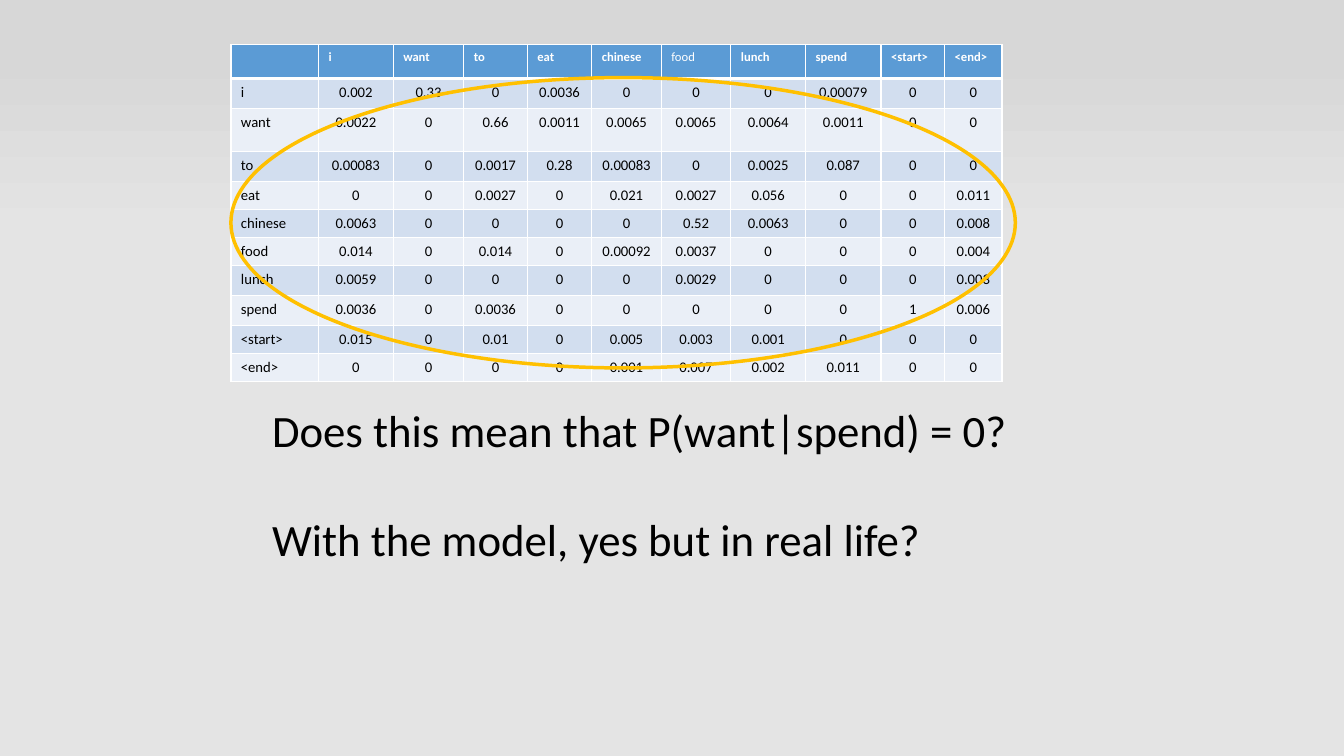
"""Build a slide with a bigram probability table, a highlight ellipse and two questions."""
from dataclasses import dataclass

import lxml.etree
import pptx
import pptx.dml.color
import pptx.enum.shapes
import pptx.enum.text
import pptx.oxml.ns
import pptx.util

Inches = pptx.util.Inches
Pt = pptx.util.Pt

FONT = "Calibri"
WORDS = ["i", "want", "to", "eat", "chinese", "food", "lunch", "spend", "<start>", "<end>"]
PROBABILITIES = """
0.002 0.33 0 0.0036 0 0 0 0.00079 0 0
0.0022 0 0.66 0.0011 0.0065 0.0065 0.0064 0.0011 0 0
0.00083 0 0.0017 0.28 0.00083 0 0.0025 0.087 0 0
0 0 0.0027 0 0.021 0.0027 0.056 0 0 0.011
0.0063 0 0 0 0 0.52 0.0063 0 0 0.008
0.014 0 0.014 0 0.00092 0.0037 0 0 0 0.004
0.0059 0 0 0 0 0.0029 0 0 0 0.003
0.0036 0 0.0036 0 0 0 0 0 1 0.006
0.015 0 0.01 0 0.005 0.003 0.001 0 0 0
0 0 0 0 0.001 0.007 0.002 0.011 0 0
"""
COL_WIDTHS = [0.87, 0.74, 0.7, 0.63, 0.64, 0.69, 0.69, 0.74, 0.75, 0.63, 0.57]
ROW_HEIGHTS = [0.34, 0.3, 0.42, 0.3, 0.26, 0.26, 0.26, 0.3, 0.3, 0.26, 0.26]
QUESTIONS = ["Does this mean that P(want|spend) = 0?", "With the model, yes but in real life?"]


@dataclass(frozen=True)
class CellStyle:
    fill: str
    color: str = "000000"
    size: float = 10.5
    bold: bool = False
    centred: bool = False
    top: float = 1
    bottom: float = 1


def rgb(value: str) -> pptx.dml.color.RGBColor:
    return pptx.dml.color.RGBColor.from_string(value)


def set_font(p, size: float, color: str, bold: bool = False) -> None:
    p.font.name = FONT
    p.font.size = Pt(size)
    p.font.bold = bold
    p.font.color.rgb = rgb(color)


def set_borders(cell, top: float, bottom: float) -> None:
    qn = pptx.oxml.ns.qn
    tc_pr = cell._tc.get_or_add_tcPr()
    widths = {"a:lnL": 1, "a:lnR": 1, "a:lnT": top, "a:lnB": bottom}
    for i, (tag, width) in enumerate(widths.items()):
        ln = tc_pr.makeelement(qn(tag), {"w": str(Pt(width))})
        fill = lxml.etree.SubElement(ln, qn("a:solidFill"))
        lxml.etree.SubElement(fill, qn("a:srgbClr"), {"val": "FFFFFF"})
        tc_pr.insert(i, ln)


def fill_cell(cell, text: str, style: CellStyle) -> None:
    cell.fill.solid()
    cell.fill.fore_color.rgb = rgb(style.fill)
    set_borders(cell, style.top, style.bottom)
    p = cell.text_frame.paragraphs[0]
    set_font(p, style.size, style.color, style.bold)
    if text:
        p.text = text
    else:
        cell.margin_top = cell.margin_bottom = 0
    if style.centred:
        p.alignment = pptx.enum.text.PP_ALIGN.CENTER


def cell_style(row: int, col: int) -> CellStyle:
    if row == 0:
        is_bold = col != WORDS.index("food") + 1
        return CellStyle("5B9BD5", "FFFFFF", 9, bold=is_bold, bottom=3)
    band = "D2DEEF" if row % 2 else "EAEFF7"
    return CellStyle(band, centred=col > 0, top=3 if row == 1 else 1)


def add_bigrams(s) -> None:
    values = [line.split() for line in PROBABILITIES.strip().splitlines()]
    rows = [["", *WORDS]] + [[word, *line] for word, line in zip(WORDS, values)]
    table = s.shapes.add_table(
        len(rows), len(COL_WIDTHS), Inches(2.29), Inches(0.44), Inches(7.65), Inches(3.36)
    ).table
    table.first_row = table.horz_banding = False
    for column, width in zip(table.columns, COL_WIDTHS):
        column.width = Inches(width)
    for row, height in zip(table.rows, ROW_HEIGHTS):
        row.height = Inches(height)
    for i, row in enumerate(rows):
        for j, text in enumerate(row):
            fill_cell(table.cell(i, j), text, cell_style(i, j))


def add_highlight(s) -> None:
    sp = s.shapes.add_shape(
        pptx.enum.shapes.MSO_SHAPE.OVAL, Inches(2.29), Inches(0.77), Inches(7.78), Inches(2.88)
    )
    sp.shadow.inherit = False
    sp.fill.background()
    sp.line.color.rgb = rgb("FFC000")
    sp.line.width = Pt(2.5)


def add_questions(s) -> None:
    tf = s.shapes.add_textbox(Inches(2.6), Inches(3.95), Inches(7.67), Inches(1.72)).text_frame
    tf.word_wrap = False
    tf.auto_size = pptx.enum.text.MSO_AUTO_SIZE.SHAPE_TO_FIT_TEXT
    tf.text = "\n".join(QUESTIONS)
    for p in tf.paragraphs:
        set_font(p, 32, "000000")
    tf.paragraphs[1].space_before = Pt(39)


def set_background(s) -> None:
    fill = s.background.fill
    fill.gradient()
    fill.gradient_angle = 270
    for stop, (position, color) in zip(fill.gradient_stops, [(0.07, "D7D7D7"), (0.31, "E4E4E4")]):
        stop.position = position
        stop.color.rgb = rgb(color)


def main() -> None:
    prs = pptx.Presentation()
    prs.slide_width = Inches(13.33)
    prs.slide_height = Inches(7.5)
    s = prs.slides.add_slide(prs.slide_layouts[6])
    set_background(s)
    add_bigrams(s)
    add_highlight(s)
    add_questions(s)
    prs.save("out.pptx")


if __name__ == "__main__":
    main()
